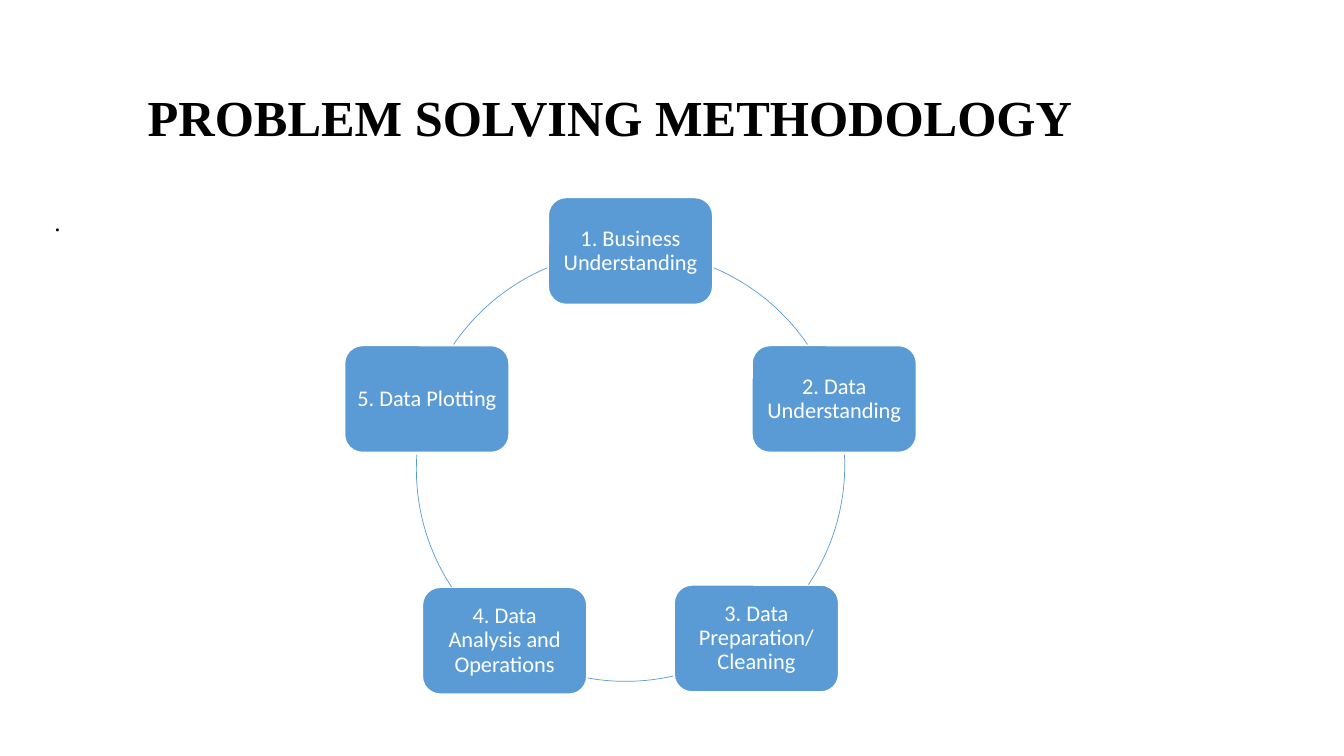
from math import cos, radians, sin

from lxml.etree import SubElement
from pptx import Presentation
from pptx.dml.color import RGBColor
from pptx.enum.shapes import MSO_SHAPE as Preset
from pptx.enum.text import MSO_ANCHOR as Anchor, MSO_AUTO_SIZE as AutoSize, PP_ALIGN as Align
from pptx.oxml.ns import qn
from pptx.util import Pt

CENTER_X, CENTER_Y, RADIUS = 450.4, 332.3, 153
STEPS = [
    ("1. Business Understanding", 0),
    ("2. Data Understanding", 0),
    ("3. Data Preparation/ Cleaning", 0),
    ("4. Data Analysis and Operations", 1.6),
    ("5. Data Plotting", 0),
]
ARCS = [
    (292.9, 325.7, 0, 0),
    (357.2, 33.9, 0, 0),
    (77.05, 100.2, -3.6, 1.4),
    (146.7, 183.9, 0, 2.9),
    (214.3, 247.1, 0, 0),
]


def color(value):
    return RGBColor.from_string(value)


class CyclePage:
    """Holds the style of the cycle diagram and the page it is drawn on."""

    blue, white, black = "5B9BD5", "FFFFFF", "000000"
    serif, sans = "Times New Roman", "Calibri"
    box_width, box_height = 117.4, 76.3

    def __init__(self, deck):
        self.page = deck.slides.add_slide(deck.slide_layouts[1])

    def set_text(self, frame, text, font, size, ink, align, anchor, bold=False):
        frame.text = text
        frame.word_wrap = True
        frame.auto_size = AutoSize.NONE
        frame.vertical_anchor = anchor
        para = frame.paragraphs[0]
        para.alignment = align
        para.line_spacing = 0.9
        span = para.runs[0]
        span.font.name = font
        span.font.size = Pt(size)
        span.font.bold = bold
        span.font.color.rgb = color(ink)
        return para

    def place(self, shape, left, top, width, height):
        shape.left, shape.top = Pt(left), Pt(top)
        shape.width, shape.height = Pt(width), Pt(height)

    def title(self, text):
        title = self.page.shapes.title
        self.place(title, 89.3, 51.8, 733.7, 67.7)
        self.set_text(title.text_frame, text, self.serif, 36, self.black,
                      Align.LEFT, Anchor.MIDDLE, bold=True)

    def body(self, text):
        body = self.page.placeholders[1]
        self.place(body, 31.7, 146.2, 879.1, 342)
        para = self.set_text(body.text_frame, text, self.serif, 18, self.black,
                             Align.LEFT, Anchor.TOP)
        para.space_before = Pt(10)
        properties = para._p.get_or_add_pPr()
        properties.set("marL", "0")
        properties.set("indent", "0")
        SubElement(properties, qn("a:buNone"))

    def step(self, text, angle, drop):
        left = CENTER_X + RADIUS * cos(radians(angle)) - self.box_width / 2
        top = CENTER_Y + RADIUS * sin(radians(angle)) - self.box_height / 2 + drop
        box = self.page.shapes.add_shape(
            Preset.ROUNDED_RECTANGLE, Pt(left), Pt(top), Pt(self.box_width), Pt(self.box_height))
        box.shadow.inherit = False
        box.fill.solid()
        box.fill.fore_color.rgb = color(self.blue)
        box.line.color.rgb = color(self.white)
        box.line.width = Pt(1)
        frame = box.text_frame
        frame.margin_left = frame.margin_right = Pt(4.8)
        frame.margin_top = frame.margin_bottom = Pt(4.8)
        self.set_text(frame, text, self.sans, 16, self.white, Align.CENTER, Anchor.MIDDLE)

    def arc(self, start, end, shift, drop):
        arc = self.page.shapes.add_shape(
            Preset.ARC, Pt(CENTER_X - RADIUS + shift), Pt(CENTER_Y - RADIUS + drop),
            Pt(2 * RADIUS), Pt(2 * RADIUS))
        arc.adjustments[0] = start * 0.6
        arc.adjustments[1] = end * 0.6
        arc.shadow.inherit = False
        arc.fill.background()
        arc.line.color.rgb = color(self.blue)
        arc.line.width = Pt(0.5)


def main():
    deck = Presentation()
    deck.slide_width, deck.slide_height = Pt(960), Pt(540)
    cycle = CyclePage(deck)
    cycle.title(" PROBLEM SOLVING METHODOLOGY")
    cycle.body(".")
    for index, (text, drop) in enumerate(STEPS):
        cycle.step(text, index * 360 / len(STEPS) - 90, drop)
    for start, end, shift, drop in ARCS:
        cycle.arc(start, end, shift, drop)
    deck.save("out.pptx")


if __name__ == "__main__":
    main()
